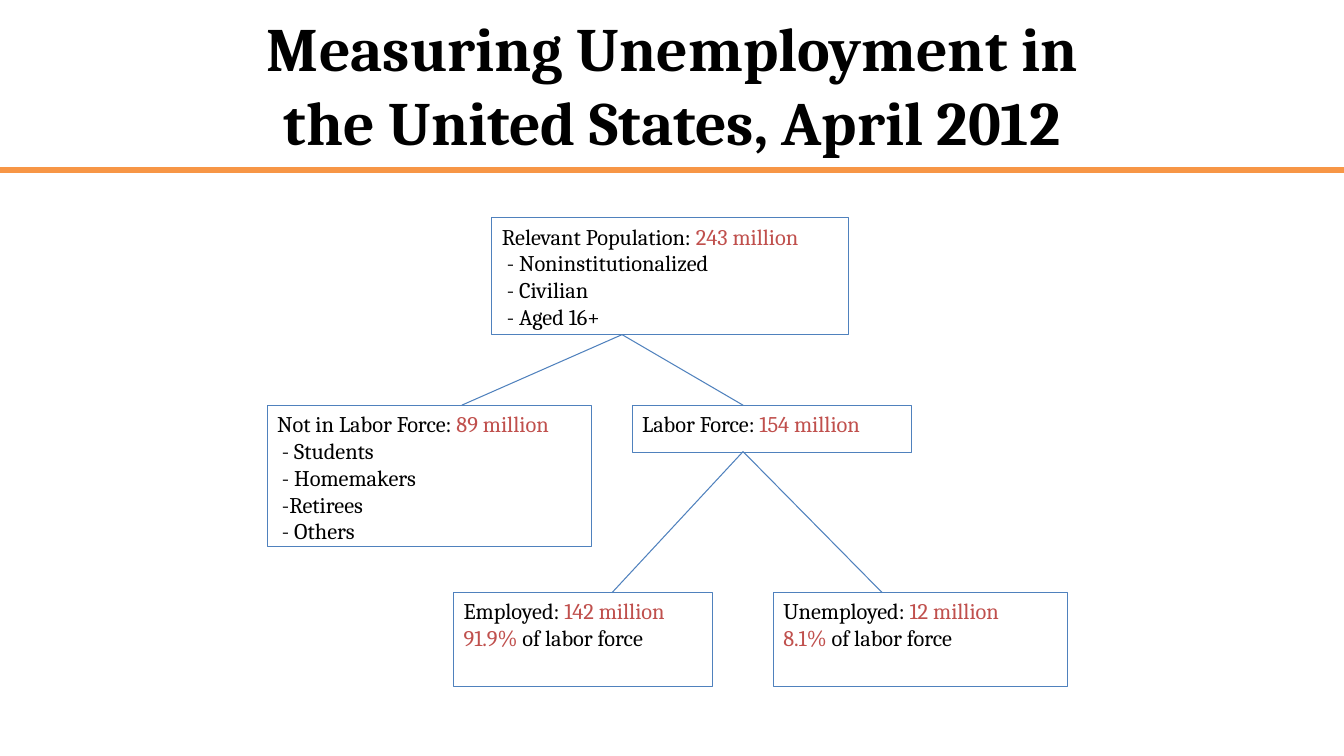
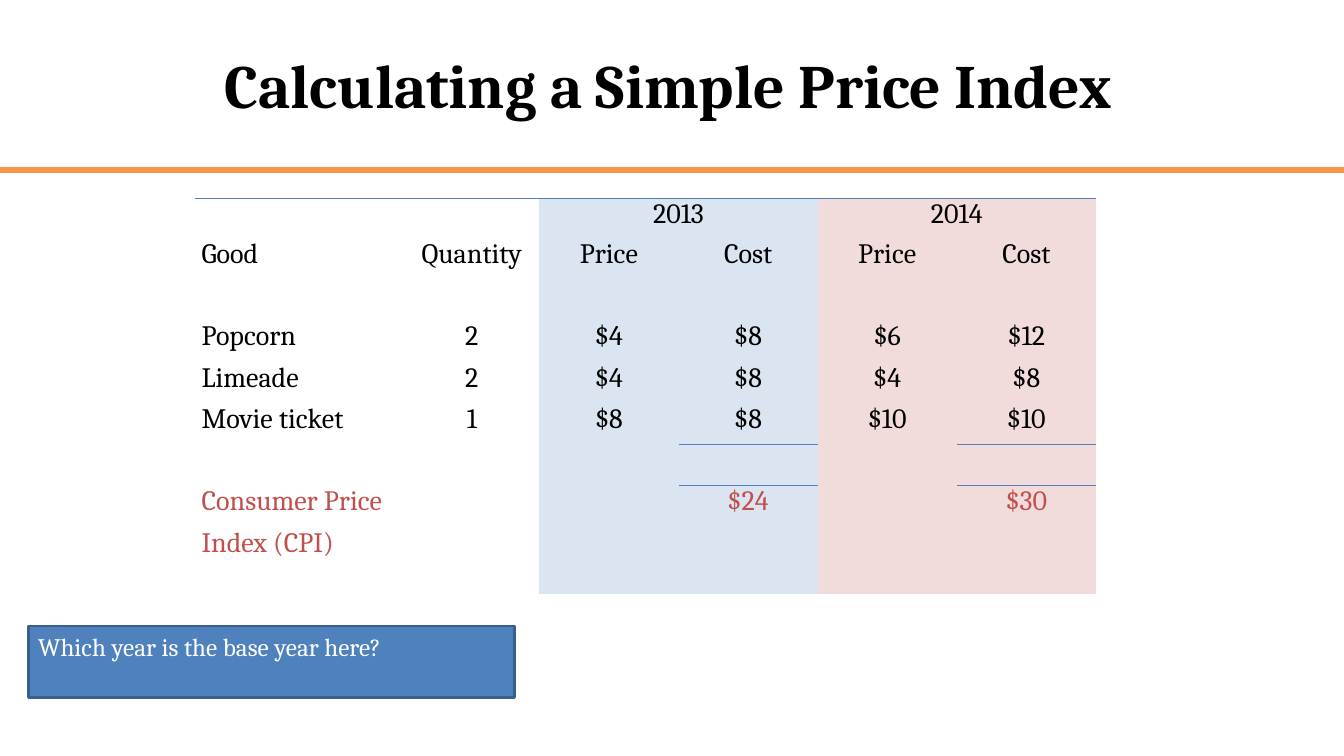
import pptx
import pptx.util
import pptx.dml.color
import pptx.enum.shapes
import pptx.enum.text
import pptx.oxml
import pptx.oxml.ns

Inches = pptx.util.Inches
Pt = pptx.util.Pt
Align = pptx.enum.text.PP_ALIGN
Anchor = pptx.enum.text.MSO_ANCHOR

FONT = "Cambria"
BLACK, WHITE, RED, BLUE = "000000", "FFFFFF", "C0504D", "4F81BD"
ORANGE, NAVY, SKY, PINK = "F79646", "3A5F8C", "DBE5F1", "F2DBDB"
WIDE, HIGH, BAND = 13.33, 7.5, 1.69
PLAIN = "{2D5ABB26-0587-4C30-8999-92F81FD0307C}"  # table style without grid


def paint(target, color):
    """Give a fill or a font its solid colour."""
    if hasattr(target, "solid"):
        target.solid()
        target.fore_color.rgb = pptx.dml.color.RGBColor.from_string(color)
    else:
        target.color.rgb = pptx.dml.color.RGBColor.from_string(color)


def write(frame, text, size=16, color=BLACK, bold=False, align=Align.LEFT,
          anchor=Anchor.TOP):
    """Write one paragraph a line; parts between asterisks turn red."""
    frame.word_wrap = True
    frame.vertical_anchor = anchor
    for i, line in enumerate(text.split("\n")):
        para = frame.paragraphs[0] if i == 0 else frame.add_paragraph()
        para.alignment = align
        for j, part in enumerate(line.split("*")):
            if part:
                run = para.add_run()
                run.text = part
                run.font.name = FONT
                run.font.size = Pt(size)
                run.font.bold = bold
                paint(run.font, RED if j % 2 else color)


def draw(slide, start, end, color=BLUE, width=0.75):
    """Draw a straight line without a shadow."""
    kind = pptx.enum.shapes.MSO_CONNECTOR.STRAIGHT
    line = slide.shapes.add_connector(kind, *map(Inches, start + end))
    paint(line.line.fill, color)
    line.line.width = Pt(width)
    props = line.element.find(pptx.oxml.ns.qn("p:spPr"))
    props.append(pptx.oxml.parse_xml(
        "<a:effectLst %s/>" % pptx.oxml.ns.nsdecls("a")))
    return line


def box(slide, place, text, fill=WHITE, edge=BLUE, width=0.75, **style):
    """Add a bordered rectangle that holds text."""
    kind = pptx.enum.shapes.MSO_SHAPE.RECTANGLE
    shape = slide.shapes.add_shape(kind, *map(Inches, place))
    shape.shadow.inherit = False
    paint(shape.fill, fill)
    paint(shape.line.fill, edge)
    shape.line.width = Pt(width)
    write(shape.text_frame, text, **style)
    return shape


def start(deck, text, left, width):
    """Add a slide and set its title."""
    slide = deck.slides.add_slide(deck.slide_layouts[5])
    title = slide.shapes.title
    title.left, title.top = Inches(left), Inches(0)
    title.width, title.height = Inches(width), Inches(1.67)
    title.text_frame.auto_size = pptx.enum.text.MSO_AUTO_SIZE.NONE
    write(title.text_frame, text, size=44, bold=True, align=Align.CENTER,
          anchor=Anchor.MIDDLE)
    return slide


def edge(cell, side):
    """Draw one border of a table cell; borders come before the fill."""
    cell._tc.get_or_add_tcPr().insert(0, pptx.oxml.parse_xml(
        '<a:%s %s w="12700"><a:solidFill><a:srgbClr val="%s"/></a:solidFill>'
        "</a:%s>" % (side, pptx.oxml.ns.nsdecls("a"), BLUE, side)))


def tree(deck):
    slide = start(deck, "Measuring Unemployment in the United States, "
                  "April 2012", 2.17, 9)

    # Rule under the title, kept on the shared layout
    rule = draw(slide, (0, BAND), (WIDE, BAND), ORANGE, 4.5)
    slide.slide_layout.shapes.element.append(rule.element)

    # Boxes, level by level
    row1, row2, row3 = 2.16, 4.02, 5.88
    top = box(slide, (4.88, row1, 3.54, 1.16),
              "Relevant Population: *243 million*\n - Noninstitutionalized\n"
              " - Civilian\n - Aged 16+")
    top.text_frame.margin_right = 0
    box(slide, (2.65, row2, 3.22, 1.4),
        "Not in Labor Force: *89 million*\n - Students\n - Homemakers\n"
        " -Retirees\n - Others")
    box(slide, (6.27, row2, 2.77, 0.47), "Labor Force: *154 million*")
    box(slide, (4.5, row3, 2.57, 0.93),
        "Employed: *142 million*\n*91.9%* of labor force")
    box(slide, (7.67, row3, 2.92, 0.93),
        "Unemployed: *12 million*\n*8.1%* of labor force")

    # Branches
    for root, ends in (((6.17, 3.32), ((4.58, row2), (7.37, row2))),
                       ((7.37, 4.48), ((6.07, row3), (8.75, row3)))):
        for end in ends:
            draw(slide, root, end)


def prices(deck):
    slide = start(deck, "Calculating a Simple Price Index", 1.61, 10.04)
    rows = [
        ("", "", "2013", "", "2014", ""),
        ("Good", "Quantity", "Price", "Cost", "Price", "Cost"),
        ("",) * 6,
        ("Popcorn", "2", "$4", "$8", "$6", "$12"),
        ("Limeade", "2", "$4", "$8", "$4", "$8"),
        ("Movie ticket", "1", "$8", "$8", "$10", "$10"),
        ("",) * 6,
        ("*Consumer Price*", "", "", "*$24*", "", "*$30*"),
        ("*Index (CPI)*", "", "", "", "", ""),
    ]
    wides = [2.08, 1.34] + [1.38] * 4
    highs = [0.39] + [0.41] * 7 + [0.66]
    fills = [None, None, SKY, SKY, PINK, PINK]

    # Table frame
    frame = slide.shapes.add_table(
        len(rows), len(wides), Inches(1.93), Inches(1.97),
        Inches(sum(wides)), Inches(sum(highs)))
    table = frame.table
    table.first_row = table.horz_banding = False
    for style in frame.element.iter(pptx.oxml.ns.qn("a:tableStyleId")):
        style.text = PLAIN
    for col, wide in zip(table.columns, wides):
        col.width = Inches(wide)
    for row, high in zip(table.rows, highs):
        row.height = Inches(high)

    # Cells
    for r, row in enumerate(rows):
        for c, text in enumerate(row):
            cell = table.cell(r, c)
            cell.margin_left = cell.margin_right = Inches(0.07)
            cell.margin_top = cell.margin_bottom = 0
            if fills[c]:
                paint(cell.fill, fills[c])
            else:
                cell.fill.background()
            write(cell.text_frame, text, size=20,
                  align=Align.CENTER if c else Align.LEFT)
            if r == 0:
                edge(cell, "lnT")
            if r == 5 and c in (3, 5):
                edge(cell, "lnB")
            if r == 6 and c in (3, 5):
                edge(cell, "lnT")

    # Column pairs joined in the first and last rows
    for r in (0, len(rows) - 1):
        for c in (0, 2, 4):
            table.cell(r, c).merge(table.cell(r, c + 1))

    # Question
    box(slide, (0.28, 6.21, 4.82, 0.71), "Which year is the base year here?",
        fill=BLUE, edge=NAVY, width=2, size=18, color=WHITE)


def main():
    deck = pptx.Presentation()
    deck.slide_width, deck.slide_height = Inches(WIDE), Inches(HIGH)
    tree(deck)
    prices(deck)
    deck.save("out.pptx")


if __name__ == "__main__":
    main()
